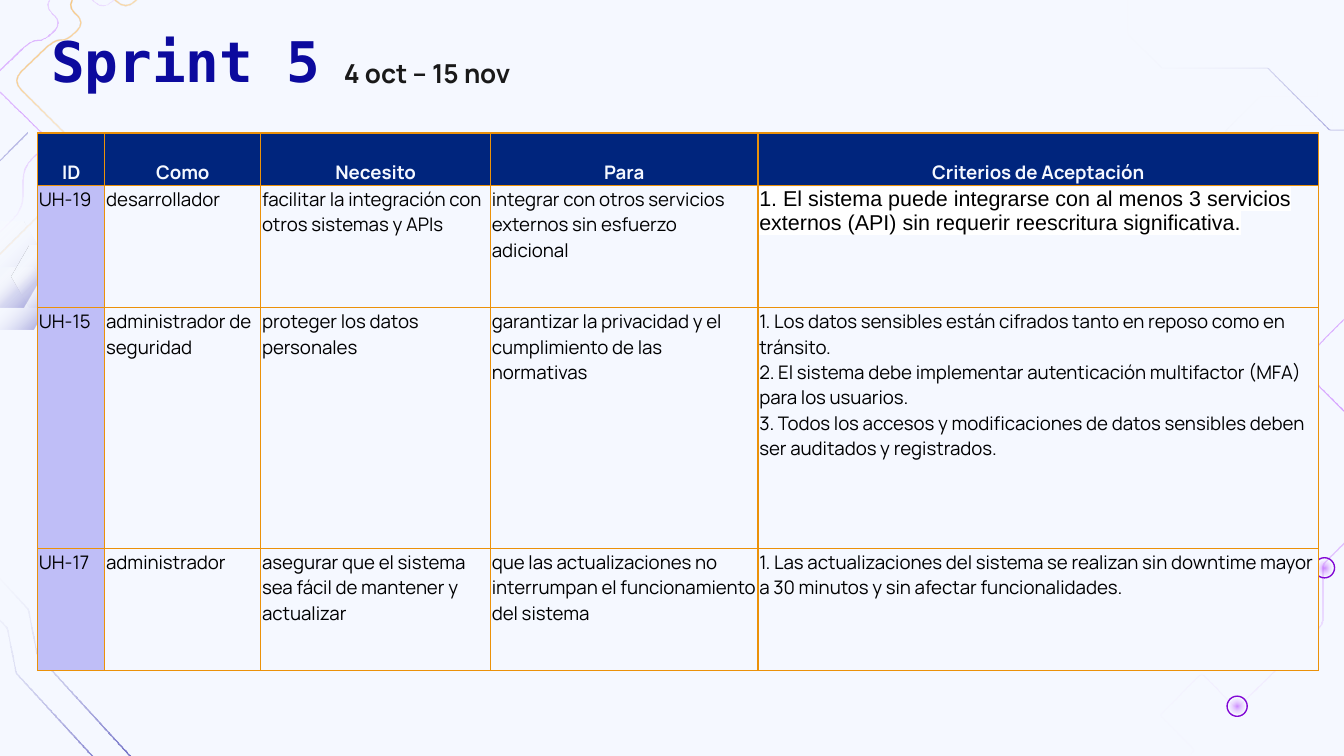
from math import hypot
from pptx import Presentation
from pptx.dml.color import RGBColor
from pptx.enum.shapes import MSO_SHAPE
from pptx.enum.text import MSO_ANCHOR, MSO_AUTO_SIZE, PP_ALIGN
from pptx.oxml import parse_xml
from pptx.oxml.ns import nsdecls, qn
from pptx.util import Inches, Pt

OVAL = MSO_SHAPE.OVAL
TOP, BOTTOM = MSO_ANCHOR.TOP, MSO_ANCHOR.BOTTOM
LEFT, CENTER = PP_ALIGN.LEFT, PP_ALIGN.CENTER
FIXED = MSO_AUTO_SIZE.NONE
WIDE = Inches(10)
HIGH = WIDE * 9 // 16
COLS = 10
UNIT = WIDE / COLS

HUES = {
    "paper": "F5F8FF", "white": "FFFFFF", "black": "000000", "ink": "191919",
    "blue": "0C0A9E", "navy": "00257D", "lilac": "BFBEF7", "gold": "EB9109",
    "amber": "FF9900", "purple": "9900FF", "ring": "8208D5",
}
FADE = (100, "white", 0)
BLUE = [(0, "blue", 100), FADE]
GLOW = [(0, "purple", 45), FADE]
GOLD = [(0, "gold", 100), (40, "amber", 40), FADE]
HAZE = [(0, "paper", 100), (22, "paper", 100), (45, "white", 0), (100, "blue", 49)]
SOFT = [(0, "blue", 36), FADE]

HEADS = ["ID", "Como", "Necesito", "Para", "Criterios de Aceptación"]
STORIES = [
    ["UH-19", "desarrollador", "facilitar la integración con otros sistemas y APIs",
     "integrar con otros servicios externos sin esfuerzo adicional",
     "1. El sistema puede integrarse con al menos 3 servicios externos (API) sin requerir reescritura significativa."],
    ["UH-15", "administrador de seguridad", "proteger los datos personales",
     "garantizar la privacidad y el cumplimiento de las normativas",
     "1. Los datos sensibles están cifrados tanto en reposo como en tránsito.\n"
     "2. El sistema debe implementar autenticación multifactor (MFA) para los usuarios.\n"
     "3. Todos los accesos y modificaciones de datos sensibles deben ser auditados y registrados."],
    ["UH-17", "administrador", "asegurar que el sistema sea fácil de mantener y actualizar",
     "que las actualizaciones no interrumpan el funcionamiento del sistema",
     "1. Las actualizaciones del sistema se realizan sin downtime mayor a 30 minutos y sin afectar funcionalidades."],
]
WIDTHS = [0.5, 1.16, 1.71, 1.99, 4.17]
HEIGHTS = [0.39, 0.91, 1.79, 0.91]

TRACE = [(8.37, 3.9), (8.77, 3.5), (8.77, 2.44), (9.23, 1.98),
         (9.23, 1.19), (9.48, 0.94), (9.91, 0.94), (9.91, 0.81)]
SIDE = [(12.08, 0.3), (11.45, 0.93), (11.79, 1.27), (10.7, 2.37), (10.35, 2.02),
        (9.66, 2.72), (10.49, 3.55), (9.84, 4.2), (9.84, 4.64), (9.2, 5.27),
        (8.94, 5.01), (8.63, 5.32), (8.89, 5.58), (8.76, 5.72), (8.89, 5.85),
        (8.84, 5.9), (8.8, 5.83)]
CORNER = [(0.58, -0.63), (1.11, -0.1), (0.93, 0.08), (0.69, -0.16), (0.49, 0.04),
          (0.63, 0.17), (0.5, 0.3), (0.4, 0.3), (0.09, 0.6), (0.54, 1.05),
          (0.34, 1.24), (0.34, 1.55), (0, 1.89)]
FOOT = [(1.19, 6.25), (1.1, 5.77), (0.28, 4.87), (0.21, 4.53), (-0.16, 4.13)]
HOOK = [(0.2, 0.98), (-0.1, 1.28), (-0.1, 0.71), (-0.32, 0.71), (-0.32, 0.19)]


def write(frame, text, font="Manrope", size=10, hue="black", bold=False,
          align=LEFT, pads=(0.1,) * 4, mark=None, space=None):
    frame.word_wrap = True
    frame.vertical_anchor = TOP
    (frame.margin_left, frame.margin_top,
     frame.margin_right, frame.margin_bottom) = map(Inches, pads)
    for i, line in enumerate(text.split("\n")):
        para = frame.paragraphs[0] if i == 0 else frame.add_paragraph()
        para.alignment = align
        if space:
            para.line_spacing = space
        run = para.add_run()
        run.text = line
        run.font.name, run.font.size, run.font.bold = font, Pt(size), bold
        run.font.color.rgb = RGBColor.from_string(HUES[hue])
        if mark:
            props = run._r.get_or_add_rPr()
            props.find(qn("a:solidFill")).addnext(parse_xml(
                f'<a:highlight {nsdecls("a")}><a:srgbClr val="{HUES[mark]}"/></a:highlight>'))


def shift(points, dx, dy):
    return [(x + dx, y + dy) for x, y in points]


def bend(points, cut):
    track = [points[0]]
    for a, b, c in zip(points, points[1:], points[2:]):
        ends = []
        for p in (a, c):
            gap = hypot(p[0] - b[0], p[1] - b[1])
            part = min(cut / gap, 0.45)
            ends.append([b[k] + (p[k] - b[k]) * part for k in (0, 1)])
        for t in (0, 0.25, 0.5, 0.75, 1):
            track.append(tuple((1 - t) ** 2 * ends[0][k] + 2 * t * (1 - t) * b[k]
                               + t ** 2 * ends[1][k] for k in (0, 1)))
    return track + [points[-1]]


class Deck:
    def __init__(self):
        self.show = Presentation()
        self.show.slide_width, self.show.slide_height = WIDE, HIGH
        self.slide = self.show.slides.add_slide(self.show.slide_layouts[5])
        self.shapes = self.slide.shapes
        self.paint(self.slide.background.fill, "paper")

    def grid(self, *spans):
        return [round(span * UNIT) for span in spans]

    def paint(self, fill, hue):
        fill.solid()
        fill.fore_color.rgb = RGBColor.from_string(HUES[hue])

    def blend(self, shape, stops, angle=None):
        shape.shadow.inherit = False
        shape.line.fill.background()
        shape.fill.background()
        marks = "".join(
            f'<a:gs pos="{pos * 1000}"><a:srgbClr val="{HUES[hue]}">'
            f'<a:alpha val="{alpha * 1000}"/></a:srgbClr></a:gs>'
            for pos, hue, alpha in stops)
        if angle is None:
            way = ('<a:path path="circle"><a:fillToRect l="50000" t="50000" '
                   'r="50000" b="50000"/></a:path>')
        else:
            way = f'<a:lin ang="{round(angle * 60000)}" scaled="0"/>'
        props = shape.element.spPr
        props.replace(props.find(qn("a:noFill")), parse_xml(
            f'<a:gradFill {nsdecls("a")}><a:gsLst>{marks}</a:gsLst>{way}</a:gradFill>'))

    def outline(self, points, stops, angle=None):
        spots = [self.grid(*point) for point in points]
        path = self.shapes.build_freeform(*spots[0], scale=1.0)
        path.add_line_segments(spots[1:], close=True)
        self.blend(path.convert_to_shape(), stops, angle)

    def ribbon(self, points, stops, angle=None, cut=0.01, half=0.01 / 2):
        track = bend(points, cut)
        left, right = [], []
        for i, (x, y) in enumerate(track):
            a, b = track[max(i - 1, 0)], track[min(i + 1, len(track) - 1)]
            dx, dy = b[0] - a[0], b[1] - a[1]
            k = half / hypot(dx, dy)
            left.append((x - dy * k, y + dx * k))
            right.append((x + dy * k, y - dx * k))
        self.outline(left + right[::-1], stops, angle)

    def hexagon(self, x, y, w, h):
        q = w / 4
        self.outline([(x, y + h / 2), (x + q, y), (x + w - q, y), (x + w, y + h / 2),
                      (x + w - q, y + h), (x + q, y + h)], HAZE, 45)

    def node(self, x, y):
        ring = self.shapes.add_shape(OVAL, *self.grid(x, y, 0.15, 0.15))
        ring.shadow.inherit = False
        ring.fill.background()
        self.paint(ring.line.fill, "ring")
        ring.line.width = Pt(0.75)
        core = self.shapes.add_shape(OVAL, *self.grid(x + 0.02, y + 0.02, 0.11, 0.11))
        self.blend(core, GLOW)

    def title(self, text, *box, **look):
        head = self.shapes.title
        head.left, head.top, head.width, head.height = self.grid(*box)
        head.text_frame.auto_size = FIXED
        write(head.text_frame, text, **look)
        head.element.getparent().append(head.element)

    def label(self, text, *box, **look):
        write(self.shapes.add_textbox(*self.grid(*box)).text_frame, text, **look)

    def border(self, cell):
        props = cell._tc.get_or_add_tcPr()
        for side in "LRTB":
            props.append(parse_xml(
                f'<a:ln{side} {nsdecls("a")} w="{Pt(0.75)}"><a:solidFill>'
                f'<a:srgbClr val="{HUES["gold"]}"/></a:solidFill></a:ln{side}>'))

    def table(self, x, y, rows):
        box = self.grid(x, y, sum(WIDTHS), sum(HEIGHTS))
        table = self.shapes.add_table(len(rows), len(WIDTHS), *box).table
        table.horz_banding = False
        for col, width in zip(table.columns, self.grid(*WIDTHS)):
            col.width = width
        for row, height in zip(table.rows, self.grid(*HEIGHTS)):
            row.height = height
        for r, row in enumerate(rows):
            for c, text in enumerate(row):
                cell = table.cell(r, c)
                pads = (0.01, 0.01, 0.01, 0) if r else (0,) * 4
                look = {} if r else dict(hue="paper", bold=True, align=CENTER)
                if (r, c) == (1, 4):
                    look = dict(font="Arial", size=11.5, mark="white")
                write(cell.text_frame, text, pads=pads, **look)
                (cell.margin_left, cell.margin_top,
                 cell.margin_right, cell.margin_bottom) = map(Inches, pads)
                cell.vertical_anchor = TOP if r else BOTTOM
                self.border(cell)
                self.paint(cell.fill, "navy" if r == 0 else "paper" if c else "lilac")


def main():
    deck = Deck()
    deck.ribbon(TRACE, BLUE, 270)
    deck.ribbon(shift(TRACE, -0.11, -0.22), BLUE, 270)
    deck.ribbon([(7.45 + y, 9.73 - x) for x, y in TRACE], BLUE, 180)
    deck.ribbon(SIDE, GLOW, cut=0.03)
    for spot in [(9.13, 5.18), (9.78, 4.15), (9.63, 2.65)]:
        deck.node(*spot)
    deck.ribbon(FOOT, BLUE, 227.8)
    deck.ribbon(shift(FOOT, -0.16, 0.14), BLUE, 227.8)
    for box in [(-0.38, 1.65, 0.74, 0.64), (-0.15, 1.99, 0.53, 0.46), (0.09, 1.83, 0.53, 0.46)]:
        deck.hexagon(*box)
    deck.ribbon(CORNER, GOLD, 45, cut=0.1)
    deck.ribbon(shift(CORNER, -0.17, 0), GLOW, cut=0.1)
    deck.ribbon(HOOK, SOFT, 225)
    deck.title("Sprint 5", 0.28, 0.1, 8.43, 0.63,
               font="DejaVu Sans Mono", size=30, hue="blue", bold=True)
    deck.table(0.28, 0.99, [HEADS] + STORIES)
    deck.label("4 oct – 15 nov", 2.46, 0.29, 2.73, 0.44,
               size=14, hue="ink", bold=True, space=1.15)
    deck.show.save("out.pptx")


if __name__ == "__main__":
    main()
